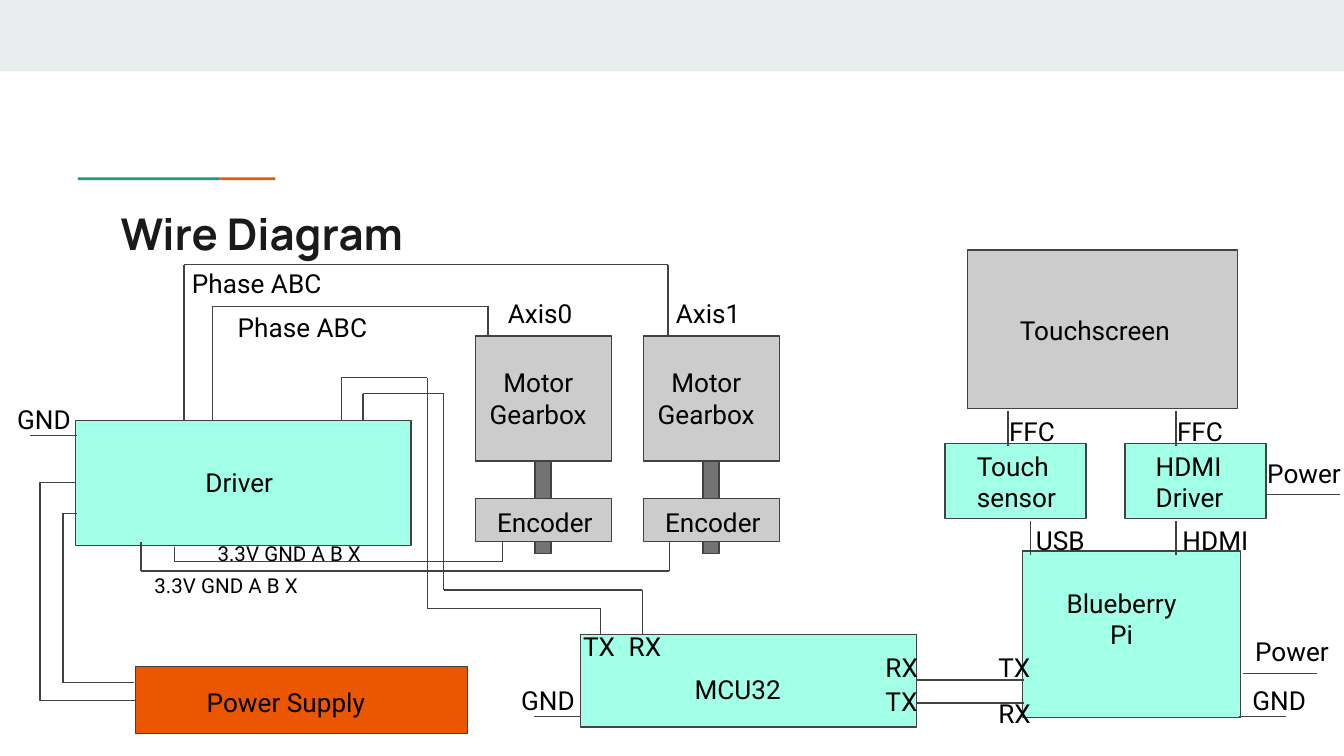
from pptx import Presentation
from pptx.dml.color import RGBColor
from pptx.enum.shapes import MSO_CONNECTOR, MSO_SHAPE
from pptx.enum.text import PP_ALIGN
from pptx.oxml.ns import qn
from pptx.util import Cm, Pt
from lxml import etree

RECTANGLE = MSO_SHAPE.RECTANGLE
STRAIGHT, ELBOW = MSO_CONNECTOR.STRAIGHT, MSO_CONNECTOR.ELBOW
LEFT, CENTER = PP_ALIGN.LEFT, PP_ALIGN.CENTER

CM_PER_UNIT = 2.54  # the layout grid below is in units of 2.54 cm
WIRE, MINT, GREY, SHAFT = "424242", "A2FFE8", "CCCCCC", "737373"
ORANGE, TEAL, BAND = "EB5600", "1A9988", "E9EDEE"

# left, top, width, height, fill
DECORATION = [
    (0, 0, 10, 0.53, BAND),
    (0.58, 1.32, 1.06, 0.02, TEAL),
    (1.64, 1.32, 0.41, 0.02, ORANGE),
]

# box, fill, label, label box, alignment
BLOCKS = [
    ((1.01, 4.96, 2.47, 0.5), ORANGE, "Power Supply", (1.44, 5.01, 1.57, 0.44), LEFT),
    ((0.56, 3.13, 2.5, 0.93), MINT, "Driver", (1.43, 3.37, 0.92, 0.44), LEFT),
    ((7.2, 1.86, 2.01, 1.18), GREY, "Touchscreen", (7.49, 2.24, 1.44, 0.44), LEFT),
    ((4.32, 4.72, 2.5, 0.69), MINT, "MCU32", (5.07, 4.91, 0.9, 0.44), LEFT),
    ((7.61, 4.1, 1.62, 1.24), MINT, "Blueberry Pi", (7.79, 4.27, 1.11, 0.67), CENTER),
    ((8.37, 3.3, 1.05, 0.56), MINT, "HDMI\nDriver", (8.5, 3.25, 0.91, 0.67), LEFT),
    ((7.03, 3.3, 1.05, 0.56), MINT, "Touch\nsensor", (7.17, 3.25, 0.91, 0.67), LEFT),
]

# name, left edge of the motor, left edge of the name
AXES = [("Axis0", 3.54, 3.68), ("Axis1", 4.79, 4.93)]

# corner points of each wire
WIRES = [
    [(1.37, 3.13), (1.37, 1.97), (4.97, 1.97), (4.97, 2.5)],
    [(1.58, 3.13), (1.58, 2.28), (3.63, 2.28), (3.63, 2.5)],
    [(2.54, 3.13), (2.54, 2.81), (3.18, 2.81), (3.18, 4.53), (4.47, 4.53), (4.47, 4.72)],
    [(2.7, 3.13), (2.7, 2.93), (3.3, 2.93), (3.3, 4.39), (4.78, 4.39), (4.78, 4.72)],
    [(3.74, 4.03), (3.74, 4.18), (1.3, 4.18), (1.3, 4.07)],
    [(4.98, 4.03), (4.98, 4.25), (1.05, 4.25), (1.05, 4.03)],
    [(0.57, 3.82), (0.47, 3.82), (0.47, 5.08), (1, 5.08)],
    [(7.5, 3.06), (7.5, 3.32)],
    [(8.75, 3.06), (8.75, 3.32)],
    [(7.67, 3.88), (7.67, 4.13)],
    [(8.75, 3.88), (8.75, 4.13)],
    [(9.42, 3.68), (9.97, 3.68)],
    [(9.25, 5.01), (9.8, 5.01)],
    [(6.82, 5.06), (7.62, 5.06)],
    [(6.82, 5.23), (7.62, 5.23)],
    [(0.57, 3.24), (0.22, 3.24)],
    [(4.32, 5.33), (3.97, 5.33)],
    [(9.57, 5.33), (9.22, 5.33)],
]

# text, left, top, width, size
LABELS = [
    ("FFC", 7.41, 2.99, 0.7, 14),
    ("FFC", 8.66, 2.99, 0.7, 14),
    ("USB", 7.61, 3.8, 0.8, 14),
    ("HDMI", 8.7, 3.8, 0.8, 14),
    ("Power", 9.33, 3.3, 0.88, 14),
    ("Power", 9.24, 4.63, 0.88, 14),
    ("TX", 7.33, 4.75, 0.6, 14),
    ("RX", 7.33, 5.09, 0.6, 14),
    ("RX", 6.49, 4.75, 0.6, 14),
    ("TX", 6.49, 5, 0.6, 14),
    ("TX", 4.24, 4.59, 0.6, 14),
    ("RX", 4.58, 4.59, 0.6, 14),
    ("GND", 0.03, 2.9, 0.7, 14),
    ("GND", 3.78, 4.99, 0.7, 14),
    ("GND", 9.22, 4.99, 0.7, 14),
    ("Phase ABC", 1.33, 1.89, 1.25, 14),
    ("Phase ABC", 1.67, 2.22, 1.25, 14),
    ("3.3V GND A B X", 1.52, 3.93, 1.75, 11),
    ("3.3V GND A B X", 1.05, 4.17, 1.75, 11),
]


def grid(*values):
    return [Cm(value * CM_PER_UNIT) for value in values]


def color(hex_string):
    return RGBColor.from_string(hex_string)


def add_box(slide, left, top, width, height, fill, outlined=True):
    shape = slide.shapes.add_shape(RECTANGLE, *grid(left, top, width, height))
    shape.shadow.inherit = False
    shape.fill.solid()
    shape.fill.fore_color.rgb = color(fill)
    if outlined:
        shape.line.color.rgb = color(WIRE)
        shape.line.width = Pt(0.75)
    else:
        shape.line.fill.background()


def add_text(slide, text, box, size=14, font="Roboto", ink="000000", bold=False, align=LEFT):
    frame = slide.shapes.add_textbox(*grid(*box)).text_frame
    frame.word_wrap = True
    frame.margin_left, frame.margin_top, frame.margin_right, frame.margin_bottom = grid(*[0.1] * 4)
    frame.text = text
    for paragraph in frame.paragraphs:
        paragraph.alignment = align
        for run in paragraph.runs:
            run.font.name = font
            run.font.size = Pt(size)
            run.font.bold = bold
            run.font.color.rgb = color(ink)


def add_wire(slide, start, end, kind=STRAIGHT):
    connector = slide.shapes.add_connector(kind, *grid(*start, *end))
    connector.line.color.rgb = color(WIRE)
    connector.line.width = Pt(0.75)
    etree.SubElement(connector._element.spPr, qn("a:effectLst"))
    return connector


def add_axis(slide, name, left, name_left):
    """Draw a motor with its shaft, encoder and labels."""
    add_box(slide, left, 2.5, 1.01, 0.93, GREY)
    add_box(slide, left + 0.44, 3.43, 0.12, 0.69, SHAFT)
    add_box(slide, left, 3.71, 1.01, 0.32, GREY)
    add_text(slide, "Motor\nGearbox", (left - 0.04, 2.63, 1.01, 0.67), align=CENTER)
    add_text(slide, "Encoder", (left + 0.06, 3.67, 0.92, 0.44))
    add_text(slide, name, (name_left, 2.11, 0.82, 0.44))


def main():
    presentation = Presentation()
    presentation.slide_width = Cm(25.4)
    presentation.slide_height = presentation.slide_width * 9 // 16
    slide = presentation.slides.add_slide(presentation.slide_layouts[6])

    for decoration in DECORATION:
        add_box(slide, *decoration, outlined=False)
    add_text(slide, "Wire Diagram", (0.8, 1.44, 8.41, 0.59),
             size=23.4, font="Manrope", ink="1A1A1A", bold=True)

    for box, fill, label, label_box, align in BLOCKS:
        add_box(slide, *box, fill)
        add_text(slide, label, label_box, align=align)
    for axis in AXES:
        add_axis(slide, *axis)

    for points in WIRES:
        for start, end in zip(points, points[1:]):
            add_wire(slide, start, end)
    supply_wire = add_wire(slide, (0.56, 3.59), (1.01, 5.21), ELBOW)
    adjustments = supply_wire._element.spPr.find(qn("a:prstGeom")).find(qn("a:avLst"))
    etree.SubElement(adjustments, qn("a:gd"), name="adj1", fmla="val -58600")

    for text, left, top, width, size in LABELS:
        add_text(slide, text, (left, top, width, 0.44), size=size)

    presentation.save("out.pptx")


if __name__ == "__main__":
    main()
